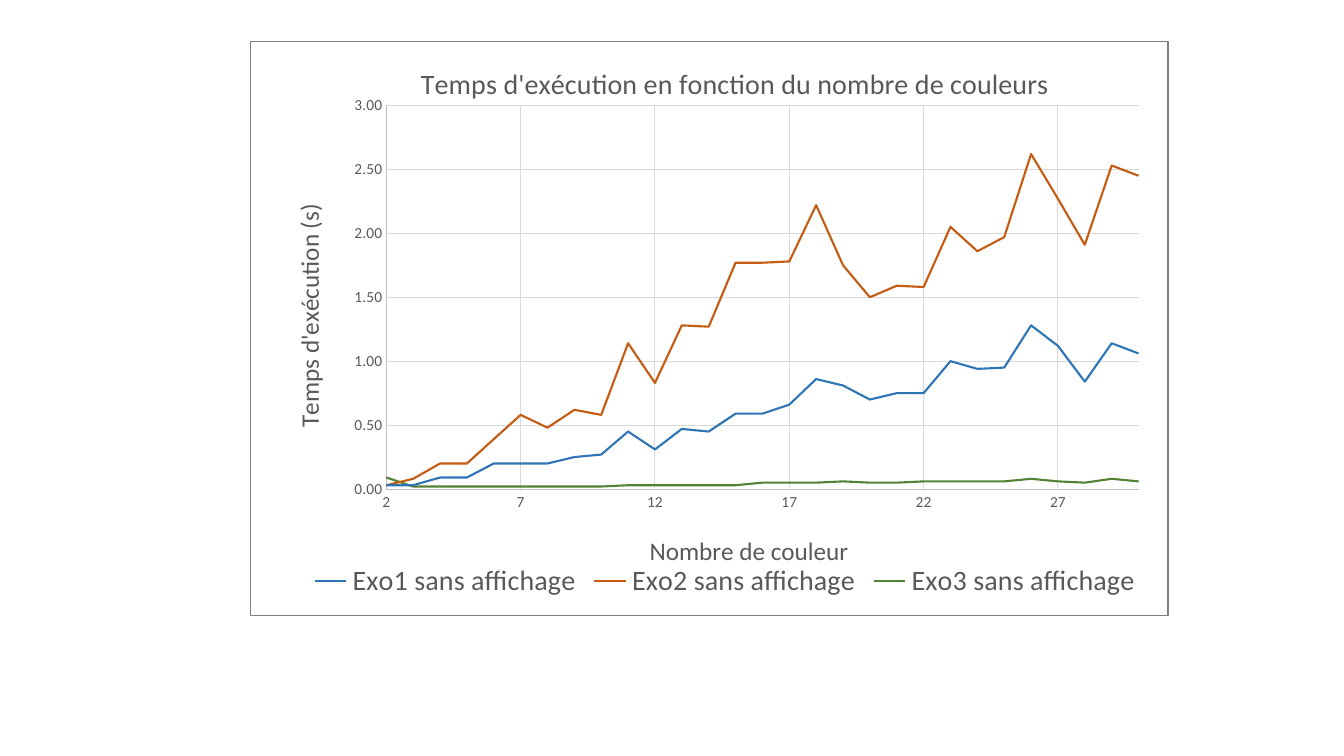
import pptx
import pptx.chart.data
import pptx.dml.color
import pptx.enum.chart
import pptx.oxml
import pptx.oxml.ns
import pptx.util

# Content
TITLE = "Temps d'exécution en fonction du nombre de couleurs"
X_TITLE, Y_TITLE = "Nombre de couleur", "Temps d'exécution (s)"
FIRST_COLOUR_COUNT = 2
SERIES = [
    ("Exo1 sans affichage", "2E75B6",
     [0.03, 0.03, 0.09, 0.09, 0.2, 0.2, 0.2, 0.25, 0.27, 0.45, 0.31, 0.47, 0.45, 0.59, 0.59,
      0.66, 0.86, 0.81, 0.7, 0.75, 0.75, 1, 0.94, 0.95, 1.28, 1.12, 0.84, 1.14, 1.06]),
    ("Exo2 sans affichage", "C55A11",
     [0.03, 0.08, 0.2, 0.2, 0.39, 0.58, 0.48, 0.62, 0.58, 1.14, 0.83, 1.28, 1.27, 1.77, 1.77,
      1.78, 2.22, 1.75, 1.5, 1.59, 1.58, 2.05, 1.86, 1.97, 2.62, 2.27, 1.91, 2.53, 2.45]),
    ("Exo3 sans affichage", "548235",
     [0.09, 0.02, 0.02, 0.02, 0.02, 0.02, 0.02, 0.02, 0.02, 0.03, 0.03, 0.03, 0.03, 0.03, 0.05,
      0.05, 0.05, 0.06, 0.05, 0.05, 0.06, 0.06, 0.06, 0.06, 0.08, 0.06, 0.05, 0.08, 0.06]),
]
FONT, TEXT, GRID, AXIS, BORDER = "Calibri", "595959", "D9D9D9", "BFBFBF", "808080"

# Chart parts as shares of the chart: left, top and, for the plot, width, height
LAYOUTS = {
    "c:chart/c:title": (0.18, 0.03),
    "c:chart/c:plotArea": (0.148, 0.111, 0.82, 0.669),
    "c:chart/c:plotArea/c:valAx[1]/c:title": (0.43, 0.85),
    "c:chart/c:plotArea/c:valAx[2]/c:title": (0.04, 0.275),
    "c:chart/c:legend": (0.06, 0.9),
}


def rgb(value):
    return pptx.dml.color.RGBColor.from_string(value)


def style_font(font, size):
    font.name, font.size, font.bold = FONT, pptx.util.Pt(size), False
    font.color.rgb = rgb(TEXT)


def style_line(line, color, width=0.75):
    line.color.rgb = rgb(color)
    line.width = pptx.util.Pt(width)


def set_title(owner, title, text, size):
    owner.has_title = True
    tf = title().text_frame
    tf.text = text
    style_font(tf.paragraphs[0].font, size)


def place(part, shares):
    """Give a chart part a manual layout."""
    for old in part.findall(pptx.oxml.ns.qn("c:layout")):
        part.remove(old)
    target = '<c:layoutTarget val="inner"/>' if len(shares) == 4 else ""
    modes = '<c:xMode val="edge"/><c:yMode val="edge"/>'
    values = "".join(f'<c:{k} val="{v}"/>' for k, v in zip("xywh", shares))
    layout = pptx.oxml.parse_xml(
        f'<c:layout {pptx.oxml.ns.nsdecls("c")}><c:manualLayout>'
        f"{target}{modes}{values}</c:manualLayout></c:layout>")
    overlay = part.find(pptx.oxml.ns.qn("c:overlay"))
    if overlay is None:
        part.insert(0, layout)
    else:
        overlay.addprevious(layout)


# Slide
prs = pptx.Presentation()
prs.slide_width, prs.slide_height = pptx.util.Inches(13.33), pptx.util.Inches(7.5)
s = prs.slides.add_slide(prs.slide_layouts[6])

# Chart
data = pptx.chart.data.XyChartData()
for name, _, seconds in SERIES:
    points = data.add_series(name)
    for count, value in enumerate(seconds, FIRST_COLOUR_COUNT):
        points.add_data_point(count, value)
box = [pptx.util.Inches(v) for v in (2.48, 0.41, 9.11, 5.7)]
chart = s.shapes.add_chart(
    pptx.enum.chart.XL_CHART_TYPE.XY_SCATTER_LINES_NO_MARKERS, *box, data).chart
chart.font.name, chart.font.size = FONT, pptx.util.Pt(10)
chart.plots[0].vary_by_categories = False
for line, (_, color, _) in zip(chart.plots[0].series, SERIES):
    line.smooth = False
    line.marker.style = pptx.enum.chart.XL_MARKER_STYLE.NONE
    style_line(line.format.line, color, 1.5)

# Titles and legend
set_title(chart, lambda: chart.chart_title, TITLE, 20)
chart.chart_title.include_in_layout = False
chart.has_legend = True
chart.legend.position = pptx.enum.chart.XL_LEGEND_POSITION.BOTTOM
chart.legend.include_in_layout = False
style_font(chart.legend.font, 20)

# Axes
last = FIRST_COLOUR_COUNT + len(SERIES[0][2]) - 1
for axis, title, low, high, step, number_format in (
        (chart.category_axis, X_TITLE, FIRST_COLOUR_COUNT, last, 5, "General"),
        (chart.value_axis, Y_TITLE, 0, 3, 0.5, "0.00")):
    set_title(axis, lambda: axis.axis_title, title, 18)
    axis.minimum_scale, axis.maximum_scale, axis.major_unit = low, high, step
    axis.major_tick_mark = axis.minor_tick_mark = pptx.enum.chart.XL_TICK_MARK.NONE
    axis.has_major_gridlines = True
    style_line(axis.major_gridlines.format.line, GRID)
    style_line(axis.format.line, AXIS)
    style_font(axis.tick_labels.font, 11)
    axis.tick_labels.number_format = number_format
    axis.tick_labels.number_format_is_linked = False

# Layout and frame
space = chart.element
for where, shares in LAYOUTS.items():
    place(space.xpath(where)[0], shares)
space.xpath("c:chart")[0].addnext(pptx.oxml.parse_xml(
    f'<c:spPr {pptx.oxml.ns.nsdecls("c", "a")}>'
    '<a:solidFill><a:srgbClr val="FFFFFF"/></a:solidFill>'
    f'<a:ln w="{pptx.util.Pt(0.75)}"><a:solidFill><a:srgbClr val="{BORDER}"/></a:solidFill></a:ln>'
    "</c:spPr>"))

prs.save("out.pptx")
